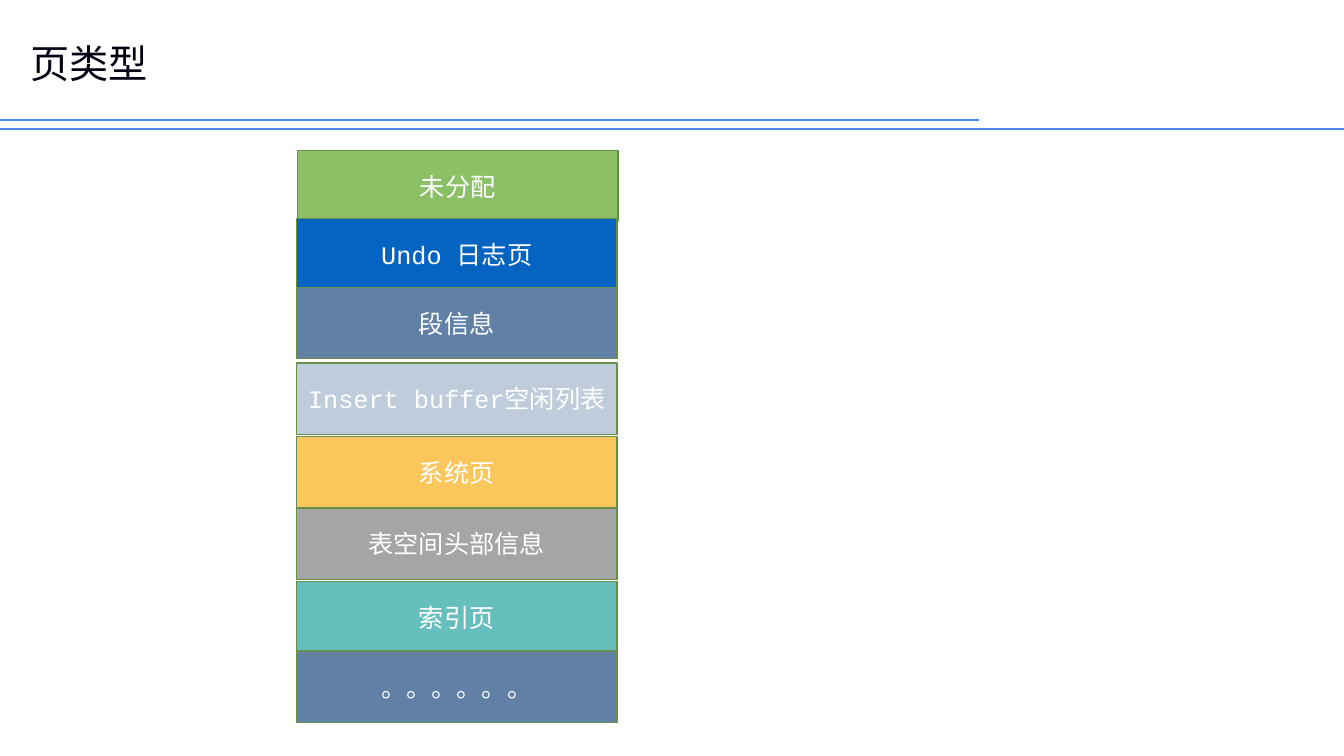
"""Build the slide that lists the page types as a stack of coloured boxes."""
from dataclasses import dataclass

from lxml.etree import SubElement
from pptx import Presentation
from pptx.dml.color import RGBColor
from pptx.enum.shapes import MSO_CONNECTOR, MSO_SHAPE
from pptx.enum.text import MSO_ANCHOR, PP_ALIGN
from pptx.oxml.ns import qn
from pptx.slide import Slide
from pptx.text.text import TextFrame
from pptx.util import Inches, Pt

FONT = "Courier New"
SLIDE_WIDTH = 13.33
PAGE_WIDTH, PAGE_HEIGHT = 3.18, 0.71


@dataclass
class PageType:
    label: str
    top: float
    fill: str
    left: float = 2.94


@dataclass
class HeaderRule:
    top: float
    length: float


PAGE_TYPES = [
    PageType("未分配", 1.49, "8CC066", left=2.95),
    PageType("Undo 日志页", 2.17, "0563C1"),
    PageType("段信息", 2.85, "6080A6"),
    PageType("Insert buffer空闲列表", 3.6, "BFCCDB"),
    PageType("系统页", 4.33, "FBC75D"),
    PageType("表空间头部信息", 5.04, "A5A5A5"),
    PageType("索引页", 5.77, "66BFBC"),
    PageType("。。。。。。", 6.46, "6080A6"),
]
HEADER_RULES = [HeaderRule(1.28, SLIDE_WIDTH), HeaderRule(1.19, 9.71)]


def color(hex_code: str) -> RGBColor:
    return RGBColor.from_string(hex_code)


def write(frame: TextFrame, text: str, size: float, hex_code: str,
          align: PP_ALIGN, line_spacing: float = 1.0) -> None:
    frame.text = text
    frame.word_wrap = True
    frame.vertical_anchor = MSO_ANCHOR.MIDDLE
    paragraph = frame.paragraphs[0]
    paragraph.alignment = align
    paragraph.line_spacing = line_spacing
    for run in paragraph.runs:
        run.font.name = FONT
        run.font.size = Pt(size)
        run.font.color.rgb = color(hex_code)


def draw_rule(slide: Slide, rule: HeaderRule) -> None:
    connector = slide.shapes.add_connector(
        MSO_CONNECTOR.STRAIGHT, Inches(0), Inches(rule.top),
        Inches(rule.length), Inches(rule.top))
    connector.line.color.rgb = color("4E85F7")
    connector.line.width = Pt(1.5)
    SubElement(connector._element.spPr, qn("a:effectLst"))


def draw_title(slide: Slide, text: str) -> None:
    title = slide.shapes.add_textbox(
        Inches(0.2), Inches(0.37), Inches(9.11), Inches(0.57))
    write(title.text_frame, text, 28, "050313", PP_ALIGN.LEFT, line_spacing=0.9)


def draw_page_type(slide: Slide, page: PageType) -> None:
    box = slide.shapes.add_shape(
        MSO_SHAPE.RECTANGLE, Inches(page.left), Inches(page.top),
        Inches(PAGE_WIDTH), Inches(PAGE_HEIGHT))
    box.shadow.inherit = False
    box.fill.solid()
    box.fill.fore_color.rgb = color(page.fill)
    box.line.color.rgb = color("688E4B")
    box.line.width = Pt(1)
    write(box.text_frame, page.label, 18, "FFFFFF", PP_ALIGN.CENTER)


def main() -> None:
    deck = Presentation()
    deck.slide_width = Inches(SLIDE_WIDTH)
    deck.slide_height = Inches(7.5)
    slide = deck.slides.add_slide(deck.slide_layouts[6])
    for rule in HEADER_RULES:
        draw_rule(slide, rule)
    draw_title(slide, "页类型")
    for page in PAGE_TYPES:
        draw_page_type(slide, page)
    deck.save("out.pptx")


if __name__ == "__main__":
    main()
